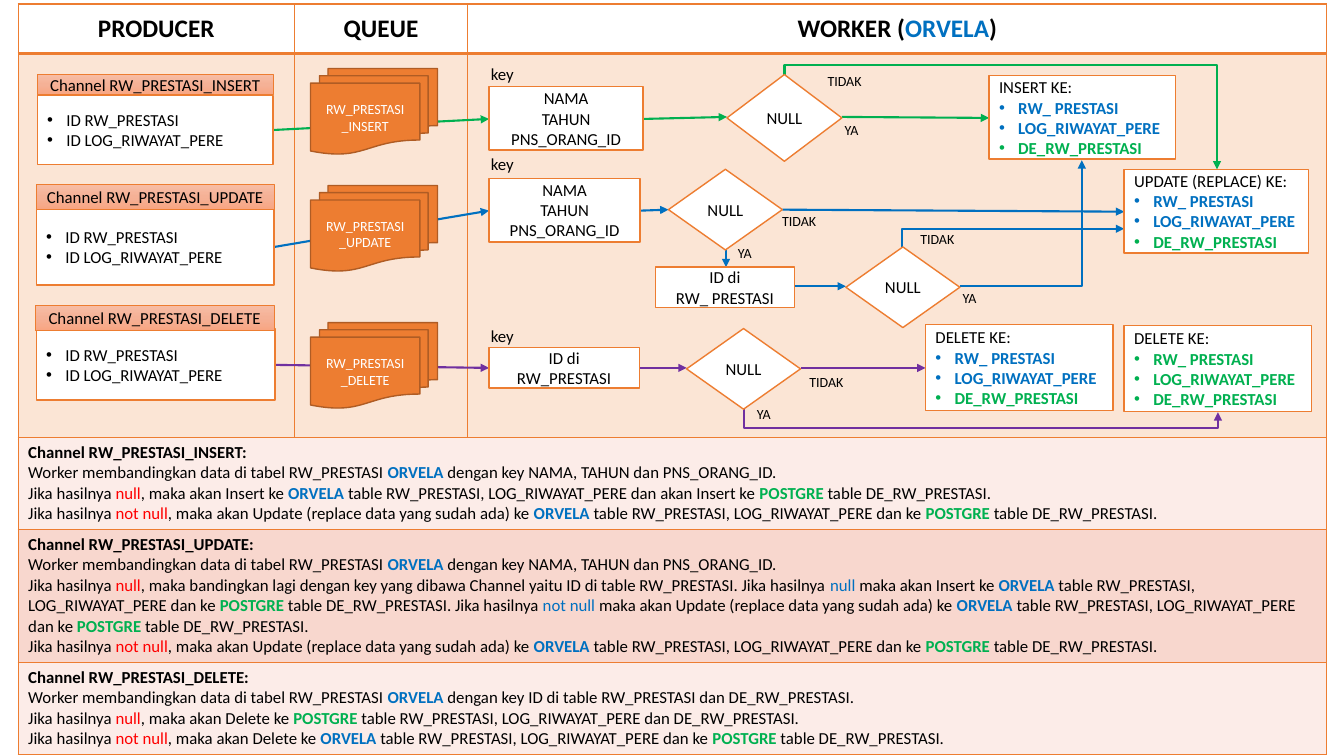
import copy
import pptx
import pptx.util
import pptx.dml.color
import pptx.enum.shapes
import pptx.enum.text
import pptx.oxml
import pptx.oxml.ns

Inches, Pt = pptx.util.Inches, pptx.util.Pt
RGBColor = pptx.dml.color.RGBColor
Kind = pptx.enum.shapes.MSO_SHAPE
Link = pptx.enum.shapes.MSO_CONNECTOR
Align = pptx.enum.text.PP_ALIGN
Anchor = pptx.enum.text.MSO_ANCHOR
qn = pptx.oxml.ns.qn

BLACK = RGBColor(0, 0, 0)
WHITE = RGBColor(255, 255, 255)
ORANGE = RGBColor(0xED, 0x7D, 0x31)
BROWN = RGBColor(0xAF, 0x5C, 0x24)
BLUE = RGBColor(0x00, 0x70, 0xC0)
GREEN = RGBColor(0x00, 0xB0, 0x50)
RED = RGBColor(255, 0, 0)
PURPLE = RGBColor(0x70, 0x30, 0xA0)
PALE = RGBColor(0xFC, 0xEC, 0xE8)
PINK = RGBColor(0xF8, 0xD7, 0xCE)
BLEND = [(0, RGBColor(0xF7, 0xBD, 0xA5)), (0.5, RGBColor(0xF5, 0xB1, 0x96)),
         (1, RGBColor(0xF8, 0xA5, 0x82))]
MARKS = {"b": (BLUE, True), "g": (GREEN, True), "r": (RED, False), "n": (BLUE, False)}

LEFT, TOP, SPLIT = 0.18, 0.04, 4.34
COLS, ROWS = [2.74, 1.72, 8.52], [0.49, 3.83]
HEADS = ["PRODUCER", "QUEUE", "WORKER (|bORVELA|)"]

MATCH = ("Worker membandingkan data di tabel RW_PRESTASI |bORVELA |"
         "dengan key NAMA, TAHUN dan PNS_ORANG_ID.")
BOTH = ("|bORVELA |table RW_PRESTASI, LOG_RIWAYAT_PERE dan ke "
        "|gPOSTGRE| table DE_RW_PRESTASI.")
CHANGE = "maka akan Update (replace data yang sudah ada) ke " + BOTH
FOUND = "Jika hasilnya |rnot null|, "
EMPTY = "Jika hasilnya |rnull|, "
NOTES = [
    (0.9, PALE, [
        MATCH,
        EMPTY + "maka akan Insert ke |bORVELA |table RW_PRESTASI, LOG_RIWAYAT_PERE "
        "dan akan Insert ke |gPOSTGRE| table DE_RW_PRESTASI.",
        FOUND + CHANGE]),
    (1.3, PINK, [
        MATCH,
        EMPTY + "maka bandingkan lagi dengan key yang dibawa Channel yaitu ID di table "
        "RW_PRESTASI. Jika hasilnya |nnull |maka akan Insert ke " + BOTH
        + " Jika hasilnya |nnot null |" + CHANGE,
        FOUND + CHANGE]),
    (0.9, PALE, [
        "Worker membandingkan data di tabel RW_PRESTASI |bORVELA |"
        "dengan key ID di table RW_PRESTASI dan DE_RW_PRESTASI.",
        EMPTY + "maka akan Delete ke |gPOSTGRE |table RW_PRESTASI, "
        "LOG_RIWAYAT_PERE dan DE_RW_PRESTASI.",
        FOUND + "maka akan Delete ke " + BOTH]),
]

NAMES = ["INSERT", "UPDATE", "DELETE"]
PANELS = [((0.37, 0.95, 2.34, 0.68), (0.37, 0.74, 2.34, 0.2)),
          ((0.36, 2.07, 2.36, 0.76), (0.36, 1.83, 2.36, 0.25)),
          ((0.36, 3.26, 2.37, 0.71), (0.35, 3.03, 2.37, 0.25))]
FIELDS = ["•ID RW_PRESTASI", "•ID LOG_RIWAYAT_PERE"]
STACKS = [0.68, 1.84, 3.2]

KEYS = ["NAMA", "TAHUN", "PNS_ORANG_ID"]
STEPS = [((4.85, 0.86, 1.53, 0.63), KEYS),
         ((4.85, 1.77, 1.5, 0.63), KEYS),
         ((6.5, 2.65, 1.38, 0.4), ["ID di", "RW_ PRESTASI"]),
         ((4.85, 3.45, 1.49, 0.4), ["ID di", "RW_PRESTASI"])]
TESTS = [(7.21, 0.74, 1.14, 0.86), (6.63, 1.68, 1.13, 0.8),
         (8.39, 2.45, 1.13, 0.8), (6.81, 3.26, 1.13, 0.8)]
GOALS = [((9.81, 0.75, 1.85, 0.83), "INSERT KE:", "bbg"),
         ((11.15, 1.68, 1.83, 0.83), "UPDATE (REPLACE) KE:", "bbg"),
         ((9.18, 3.22, 1.86, 0.85), "DELETE KE:", "bbg"),
         ((11.15, 3.23, 1.86, 0.85), "DELETE KE:", "ggg")]
TABLES = ["RW_ PRESTASI", "LOG_RIWAYAT_PERE", "DE_RW_PRESTASI"]
TAGS = [("key", 12, 0.43, 0.3, [(4.77, 0.58), (4.77, 1.48), (4.77, 3.18)]),
        ("YA", 10, 0.37, 0.27, [(8.28, 1.16), (7.22, 2.38), (9.45, 2.82), (7.41, 3.97)]),
        ("TIDAK", 10, 0.67, 0.27, [(8.11, 0.67), (7.66, 2.06), (9.03, 2.24), (7.93, 3.66)])]

ARROWS = [
    (GREEN, [(2.71, 1.29, 4.85, 1.18), (6.38, 1.18, 7.21, 1.16), (8.35, 1.16, 9.81, 1.17)]),
    (BLUE, [(2.72, 2.45, 4.85, 2.09), (6.35, 2.09, 6.63, 2.08), (7.2, 2.48, 7.2, 2.65),
            (7.89, 2.84, 8.39, 2.84), (7.76, 2.08, 11.15, 2.1)]),
    (PURPLE, [(2.72, 3.62, 4.85, 3.65), (6.35, 3.65, 6.81, 3.65), (7.94, 3.65, 9.18, 3.65)]),
]
BENDS = [(GREEN, (7.78, 0.74, 12.07, 1.68), 270, "H", -0.1),
         (BLUE, (8.95, 2.45, 11.15, 2.27), 90, "HV", None),
         (PURPLE, (7.38, 4.05, 12.08, 4.09), 270, "H", 5),
         (BLUE, (9.52, 2.84, 10.73, 1.59), 0, "V", None)]


def node(home, tag, **attrs):
    item = pptx.oxml.parse_xml('<a:%s %s/>' % (tag, pptx.oxml.ns.nsdecls("a")))
    for name, value in attrs.items():
        item.set(name, str(value))
    home.append(item)
    return item


def write(frame, lines, size=12, color=BLACK, align=Align.CENTER, bold=False):
    for row, line in enumerate(lines):
        para = frame.paragraphs[0] if row == 0 else frame.add_paragraph()
        para.alignment = align
        if line.startswith("•"):
            line = line[1:]
            para.alignment = Align.LEFT
            props = para._p.get_or_add_pPr()
            props.set("marL", str(Inches(0.19)))
            props.set("indent", str(-Inches(0.19)))
            node(props, "buFont", typeface="Arial")
            node(props, "buChar", char="•")
        parts = [(MARKS[text[0]], text[1:]) if odd % 2 else ((color, bold), text)
                 for odd, text in enumerate(line.split("|")) if text]
        base = parts[0][0]
        font = para.font
        font.name, font.size = "Calibri", Pt(size)
        font.color.rgb, font.bold = base
        for look, text in parts:
            run = para.add_run()
            run.text = text
            if look != base:
                run.font.color.rgb, run.font.bold = look


def edge(cell, base=1):
    props = cell._tc.get_or_add_tcPr()
    for spot, side in enumerate("LRTB"):
        line = node(props, "ln" + side, w=Pt(base if side == "B" else 1))
        node(node(line, "solidFill"), "srgbClr", val=ORANGE)
        props.remove(line)
        props.insert(spot, line)


def grid(slide, top, cols, rows):
    table = slide.shapes.add_table(len(rows), len(cols), Inches(LEFT), Inches(top),
                                   Inches(sum(cols)), Inches(sum(rows))).table
    table.first_row = table.horz_banding = False
    for col, width in zip(table.columns, cols):
        col.width = Inches(width)
    for row, height in zip(table.rows, rows):
        row.height = Inches(height)
    return table


def block(slide, kind, box, lines, fill=WHITE, line=ORANGE, width=1, **style):
    shape = slide.shapes.add_shape(kind, *map(Inches, box))
    shape.shadow.inherit = False
    if fill is BLEND:
        shape.fill.gradient()
        shape.fill.gradient_angle = 270
        stops = shape._element.spPr.find(".//" + qn("a:gsLst"))
        stops.append(copy.deepcopy(stops[-1]))
        for stop, (place, color) in zip(shape.fill.gradient_stops, BLEND):
            stop.position, stop.color.rgb = place, color
    else:
        shape.fill.solid()
        shape.fill.fore_color.rgb = fill
    shape.line.color.rgb, shape.line.width = line, Pt(width)
    shape.text_frame.word_wrap = True
    shape.text_frame.vertical_anchor = Anchor.MIDDLE
    write(shape.text_frame, lines, **style)


def arrow(slide, color, ends, kind=Link.STRAIGHT):
    link = slide.shapes.add_connector(kind, *map(Inches, ends))
    link.line.color.rgb, link.line.width = color, Pt(1.5)
    node(link.line._get_or_add_ln(), "tailEnd", type="triangle")
    node(link._element.spPr, "effectLst")
    return link


def bend(slide, color, ends, turn, flips, shift):
    link = arrow(slide, color, ends, Link.ELBOW)
    x1, y1, x2, y2 = ends
    wide, high = abs(x2 - x1), abs(y2 - y1)
    if turn:
        wide, high = high, wide
    link.left, link.top = Inches((x1 + x2 - wide) / 2), Inches((y1 + y2 - high) / 2)
    link.width, link.height = Inches(wide), Inches(high)
    frame = link._element.spPr.find(qn("a:xfrm"))
    frame.set("rot", str(turn * 60000))
    for flip in "HV":
        frame.set("flip" + flip, str(int(flip in flips)))
    shape = link._element.spPr.find(qn("a:prstGeom"))
    if shift is None:
        shape.set("prst", "bentConnector2")
    else:
        node(shape.find(qn("a:avLst")), "gd", name="adj1", fmla="val %d" % (shift * 100000))


def main():
    deck = pptx.Presentation()
    deck.slide_width, deck.slide_height = Inches(13.33), Inches(7.5)
    slide = deck.slides.add_slide(deck.slide_layouts[6])

    lanes = grid(slide, TOP, COLS, ROWS)
    for col, head in enumerate(HEADS):
        cell, lane = lanes.cell(0, col), lanes.cell(1, col)
        cell.fill.background()
        cell.vertical_anchor = Anchor.MIDDLE
        write(cell.text_frame, [head], 18, bold=True)
        edge(cell, 2)
        lane.fill.solid()
        lane.fill.fore_color.rgb = ORANGE
        node(lane._tc.tcPr.find(".//" + qn("a:srgbClr")), "alpha", val=20000)
        edge(lane)

    notes = grid(slide, SPLIT, [sum(COLS)], [note[0] for note in NOTES])
    for row, (name, (high, fill, lines)) in enumerate(zip(NAMES, NOTES)):
        cell = notes.cell(row, 0)
        cell.fill.solid()
        cell.fill.fore_color.rgb = fill
        write(cell.text_frame, ["Channel RW_PRESTASI_" + name + ":"] + lines,
              align=Align.LEFT)
        cell.text_frame.paragraphs[0].font.bold = True
        edge(cell)

    for color, paths in ARROWS:
        for ends in paths:
            arrow(slide, color, ends)
    for item in BENDS:
        bend(slide, *item)

    for name, (body, head), top in zip(NAMES, PANELS, STACKS):
        block(slide, Kind.RECTANGLE, body, FIELDS)
        block(slide, Kind.RECTANGLE, head, ["Channel RW_PRESTASI_" + name], BLEND, width=0.5)
        block(slide, Kind.FLOWCHART_MULTIDOCUMENT, (3.08, top, 1.26, 0.85),
              ["RW_PRESTASI", "_" + name], ORANGE, BROWN, size=10, color=WHITE)
    for box, lines in STEPS:
        block(slide, Kind.RECTANGLE, box, lines)
    for box in TESTS:
        block(slide, Kind.DIAMOND, box, ["NULL"])
    for box, head, marks in GOALS:
        lines = ["•|" + mark + table for mark, table in zip(marks, TABLES)]
        block(slide, Kind.RECTANGLE, box, [head] + lines, align=Align.LEFT)
    for text, size, wide, high, spots in TAGS:
        for x, y in spots:
            frame = slide.shapes.add_textbox(*map(Inches, (x, y, wide, high))).text_frame
            frame.word_wrap = False
            write(frame, [text], size, align=Align.LEFT)

    deck.save("out.pptx")


if __name__ == "__main__":
    main()
